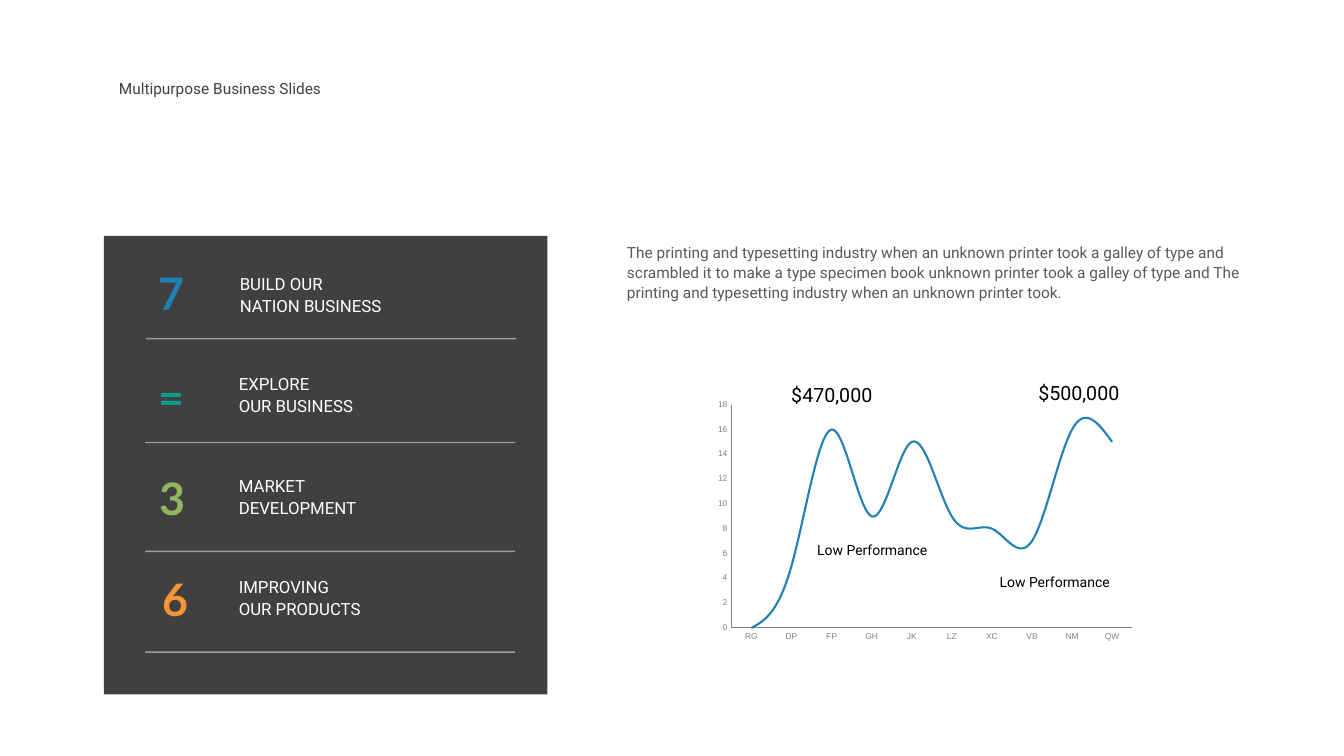
import pptx
import pptx.chart.data
import pptx.dml.color
import pptx.enum.chart
import pptx.enum.shapes
import pptx.enum.text
import pptx.oxml
import pptx.oxml.ns
import pptx.util

EMU_PER_PX = 9144
GREY, DARK, WHITE, BLACK = "808080", "404040", "FFFFFF", "000000"
BLUE, TEAL, GREEN, ORANGE = "2180B4", "00A188", "91B75E", "F79636"


def px(length):
    return pptx.util.Emu(length * EMU_PER_PX)


def colour(hex_value):
    return pptx.dml.color.RGBColor.from_string(hex_value)


def element(tag, **attributes):
    node = pptx.oxml.parse_xml(f"<{tag} {pptx.oxml.ns.nsdecls(tag.split(':')[0])}/>")
    for key, value in attributes.items():
        node.set(key, str(value))
    return node


def write_text(frame, text, size=12, font="Roboto", fill=BLACK, bold=False,
               align="LEFT", spacing=None):
    frame.word_wrap = True
    frame.auto_size = pptx.enum.text.MSO_AUTO_SIZE.SHAPE_TO_FIT_TEXT
    for index, line in enumerate(text.split("\n")):
        paragraph = frame.add_paragraph() if index else frame.paragraphs[0]
        paragraph.alignment = getattr(pptx.enum.text.PP_ALIGN, align)
        paragraph.line_spacing = spacing
        run = paragraph.add_run()
        run.text = line
        run.font.size = pptx.util.Pt(size)
        run.font.name = font
        run.font.bold = bold
        run.font.color.rgb = colour(fill)


class SlideBuilder:
    def __init__(self, slide):
        self.slide = slide
        self.shapes = slide.shapes

    def panel(self, left, top, width, height, fill):
        panel = self.shapes.add_shape(
            pptx.enum.shapes.MSO_SHAPE.RECTANGLE, px(left), px(top), px(width), px(height))
        panel.shadow.inherit = False
        panel.fill.solid()
        panel.fill.fore_color.rgb = colour(fill)
        panel.line.fill.background()

    def text(self, left, top, width, height, text, **style):
        box = self.shapes.add_textbox(px(left), px(top), px(width), px(height))
        write_text(box.text_frame, text, **style)

    def rule(self, left, top, width, stroke, opacity):
        rule = self.shapes.add_connector(
            pptx.enum.shapes.MSO_CONNECTOR.STRAIGHT, px(left), px(top), px(left + width), px(top))
        rule.line.width = pptx.util.Pt(1)
        rule.line.color.rgb = colour(stroke)
        properties = rule._element.spPr
        properties.find(".//" + pptx.oxml.ns.qn("a:srgbClr")).append(
            element("a:alpha", val=opacity * 1000))
        properties.append(element("a:effectLst"))

    def curve(self, left, top, width, height, categories, values, stroke, plot):
        data = pptx.chart.data.CategoryChartData()
        data.categories = categories
        data.add_series("Series 1", values)
        chart = self.shapes.add_chart(
            pptx.enum.chart.XL_CHART_TYPE.LINE,
            px(left), px(top), px(width), px(height), data).chart
        chart.has_legend = False
        chart.has_title = False
        chart.font.size = pptx.util.Pt(6)
        chart.font.name = "Arial"
        chart.font.color.rgb = colour(GREY)
        chart.plots[0].vary_by_categories = False
        series = chart.plots[0].series[0]
        series.smooth = True
        series.marker.style = pptx.enum.chart.XL_MARKER_STYLE.NONE
        series.format.line.width = pptx.util.Pt(1.5)
        series.format.line.color.rgb = colour(stroke)
        for axis in (chart.category_axis, chart.value_axis):
            axis.has_major_gridlines = False
            axis.major_tick_mark = pptx.enum.chart.XL_TICK_MARK.NONE
            axis.minor_tick_mark = pptx.enum.chart.XL_TICK_MARK.NONE
            axis.format.line.width = pptx.util.Pt(0.75)
            axis.format.line.color.rgb = colour(GREY)
        chart.value_axis.minimum_scale = 0
        chart.value_axis.maximum_scale = 18
        chart.value_axis.major_unit = 2
        self.place_plot(chart, plot)

    def place_plot(self, chart, plot):
        qn = pptx.oxml.ns.qn
        value_axis = chart.value_axis._element
        for crossing in value_axis.findall(qn("c:crossBetween")):
            value_axis.remove(crossing)
        value_axis.find(qn("c:crosses")).addnext(element("c:crossBetween", val="between"))
        area = chart._chartSpace.find(".//" + qn("c:plotArea"))
        for layout in area.findall(qn("c:layout")):
            area.remove(layout)
        layout, manual = element("c:layout"), element("c:manualLayout")
        settings = [("layoutTarget", "inner"), ("xMode", "edge"), ("yMode", "edge")]
        for key, value in settings + list(zip("xywh", plot)):
            manual.append(element(f"c:{key}", val=value))
        layout.append(manual)
        area.insert(0, layout)


def main():
    deck = pptx.Presentation()
    deck.slide_width, deck.slide_height = px(1333), px(750)
    page = SlideBuilder(deck.slides.add_slide(deck.slide_layouts[6]))

    page.panel(103, 234, 440, 455, DARK)
    goals = [
        ("7", BLUE, 147, 265, "BUILD OUR\nNATION BUSINESS", 228, 265, 145, 336),
        ("=", TEAL, 147, 368, "EXPLORE\nOUR BUSINESS", 227, 364, 144, 439),
        ("3", GREEN, 148, 468, "MARKET\nDEVELOPMENT", 227, 465, 144, 547),
        ("6", ORANGE, 151, 568, "IMPROVING\nOUR PRODUCTS", 227, 565, 144, 647),
    ]
    for mark, tint, mark_x, mark_y, goal, goal_x, goal_y, rule_x, rule_y in goals:
        page.text(mark_x, mark_y, 65, 59, mark, size=32, font="Lato", fill=tint,
                  bold=True, spacing=0.9)
        page.text(goal_x, goal_y, 275, 55, goal, fill=WHITE, spacing=1.1)
        page.rule(rule_x, rule_y, 367, WHITE, 50)

    page.text(612, 234, 661, 71,
              "The printing and typesetting industry when an unknown printer took a galley "
              "of type and scrambled it to make a type specimen book unknown printer took a "
              "galley of type and The printing and typesetting industry when an unknown "
              "printer took.", size=11, fill="595959", spacing=1.1)

    page.curve(698, 376, 457, 284,
               ["RG", "DP", "FP", "GH", "JK", "LZ", "XC", "VB", "NM", "QW"],
               [0, 5, 16, 9, 15, 9, 8, 7, 16, 15], BLUE, (0.06, 0.09, 0.87, 0.78))

    callouts = [
        (999, 373, 34, "$500,000", 14),
        (975, 564, 27, "Low Performance", 10),
        (754, 375, 34, "$470,000", 14),
        (794, 532, 27, "Low Performance", 10),
    ]
    for left, top, height, label, size in callouts:
        page.text(left, top, 142, height, label, size=size, align="CENTER")

    page.text(108, 68, 321, 34, "Multipurpose Business Slides", size=11, fill=DARK,
              spacing=pptx.util.Pt(17.3))
    deck.save("out.pptx")


if __name__ == "__main__":
    main()
